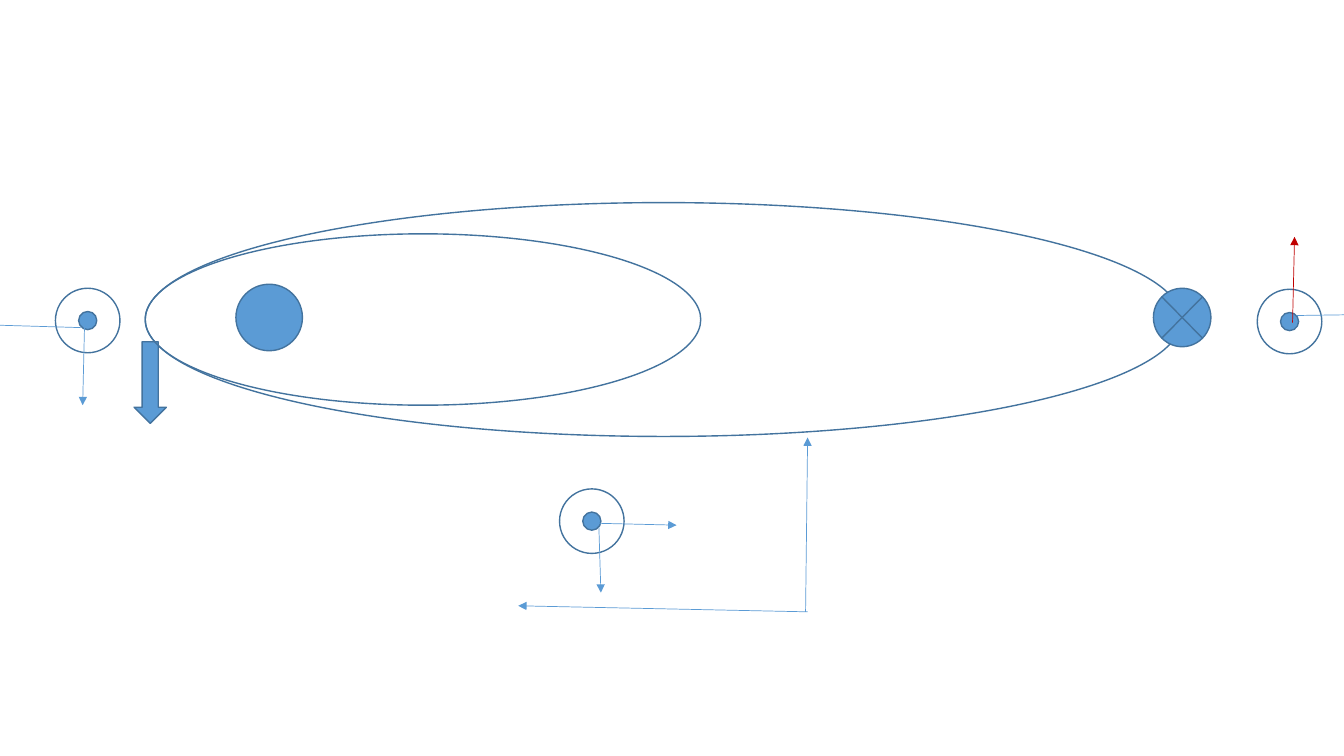
from lxml import etree
from pptx import Presentation
from pptx.dml.color import RGBColor
from pptx.enum.shapes import MSO_CONNECTOR, MSO_SHAPE
from pptx.oxml.ns import qn
from pptx.util import Inches, Pt

ELLIPSE = MSO_SHAPE.OVAL
DOWN_ARROW = MSO_SHAPE.DOWN_ARROW
CROSSED_CIRCLE = MSO_SHAPE.FLOWCHART_SUMMING_JUNCTION
STRAIGHT = MSO_CONNECTOR.STRAIGHT

BLUE = "5B9BD5"
OUTLINE = "43739E"
RED = "C00000"
DOT_SIZE = 0.18
RING_SIZE = 0.64


def color(hex_code):
    return RGBColor.from_string(hex_code)


def add_outlined_shape(shapes, kind, left, top, width, height, fill=None):
    shape = shapes.add_shape(
        kind, Inches(left), Inches(top), Inches(width), Inches(height)
    )
    shape.shadow.inherit = False
    if fill:
        shape.fill.solid()
        shape.fill.fore_color.rgb = color(fill)
    else:
        shape.fill.background()
    shape.line.color.rgb = color(OUTLINE)
    shape.line.width = Pt(1)
    return shape


def add_arrow(shapes, start, end, line_color=BLUE):
    connector = shapes.add_connector(
        STRAIGHT, *(Inches(value) for value in (*start, *end))
    )
    connector.line.color.rgb = color(line_color)
    connector.line.width = Pt(0.5)
    properties = connector._element.spPr
    etree.SubElement(properties.find(qn("a:ln")), qn("a:tailEnd"), type="triangle")
    etree.SubElement(properties, qn("a:effectLst"))


def add_satellite(shapes, center, arrows, rotation=0):
    """Group a dot in a ring with its arrows, given as (start, end, color)."""
    group = shapes.add_group_shape()
    for size, fill in ((DOT_SIZE, BLUE), (RING_SIZE, None)):
        left, top = (value - size / 2 for value in center)
        circle = add_outlined_shape(group.shapes, ELLIPSE, left, top, size, size, fill)
        circle.rotation = rotation
    for start, end, line_color in arrows:
        add_arrow(group.shapes, start, end, line_color)


def main():
    presentation = Presentation()
    presentation.slide_width = Inches(13.33)
    presentation.slide_height = Inches(7.5)
    slide = presentation.slides.add_slide(presentation.slide_layouts[6])
    shapes = slide.shapes

    # Central body, the two orbits, the thrust arrow and the far body
    add_outlined_shape(shapes, ELLIPSE, 2.34, 2.82, 0.66, 0.66, BLUE)
    add_outlined_shape(shapes, ELLIPSE, 1.44, 2.01, 10.28, 2.32)
    add_outlined_shape(shapes, DOWN_ARROW, 1.33, 3.39, 0.32, 0.81, BLUE)
    add_outlined_shape(shapes, ELLIPSE, 1.44, 2.32, 5.51, 1.7)
    add_outlined_shape(shapes, CROSSED_CIRCLE, 11.44, 2.86, 0.57, 0.58, BLUE)

    # Reference axes
    add_arrow(shapes, (8.01, 6.07), (5.14, 6.01))
    add_arrow(shapes, (7.99, 6.07), (8.01, 4.34))

    add_satellite(shapes, (0.87, 3.18), [
        ((0.84, 3.17), (0.82, 4.02), BLUE),
        ((0.8, 3.25), (-0.23, 3.22), BLUE),
    ])
    add_satellite(shapes, (12.79, 3.19), [
        ((12.82, 3.2), (12.84, 2.35), RED),
        ((12.86, 3.13), (13.58, 3.12), BLUE),
    ], rotation=180)
    add_satellite(shapes, (5.87, 5.17), [
        ((5.86, 5.19), (6.71, 5.21), BLUE),
        ((5.94, 5.23), (5.96, 5.88), BLUE),
    ], rotation=270)

    presentation.save("out.pptx")


if __name__ == "__main__":
    main()
